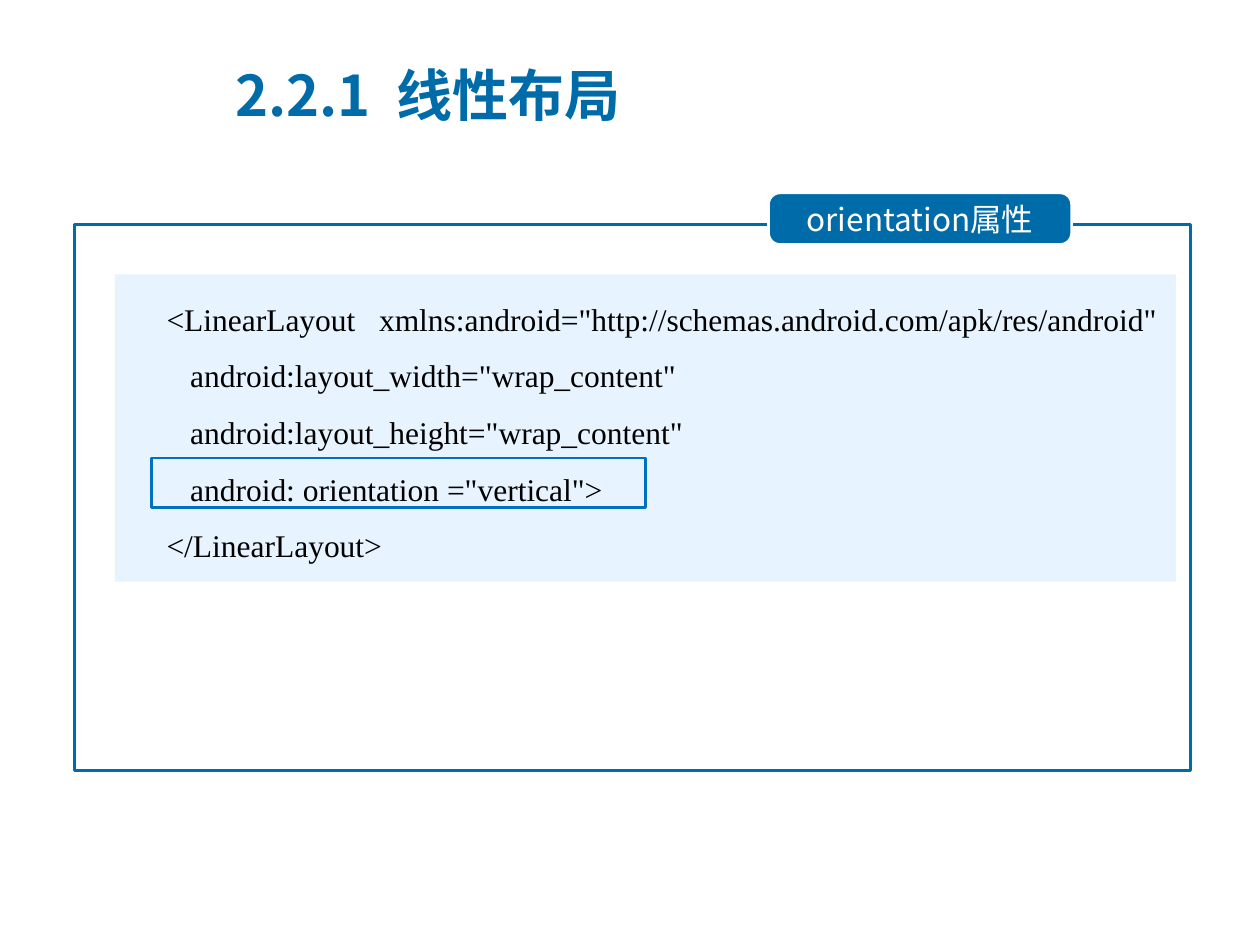
from pptx import Presentation
from pptx.dml.color import RGBColor
from pptx.enum.shapes import MSO_SHAPE
from pptx.enum.text import MSO_ANCHOR, PP_ALIGN
from pptx.oxml.ns import qn
from pptx.util import Pt
from lxml import etree

RECTANGLE = MSO_SHAPE.RECTANGLE
ROUNDED = MSO_SHAPE.ROUNDED_RECTANGLE
TOP, MIDDLE = MSO_ANCHOR.TOP, MSO_ANCHOR.MIDDLE
LEFT, CENTER = PP_ALIGN.LEFT, PP_ALIGN.CENTER

BLUE = "006BA9"
SANS = "Noto Sans CJK SC"
SERIF = "Times New Roman"


def add_box(shapes, kind, left, top, width, height, fill=None, line=None):
    box = shapes.add_shape(kind, Pt(left), Pt(top), Pt(width), Pt(height))
    box.shadow.inherit = False
    if fill:
        box.fill.solid()
        box.fill.fore_color.rgb = RGBColor.from_string(fill)
    else:
        box.fill.background()
    if line:
        box.line.color.rgb = RGBColor.from_string(line)
        box.line.width = Pt(1.5)
    else:
        box.line.fill.background()
    return box


def write(frame, text, *, font, size, color, bold=False, align=LEFT,
          anchor=TOP, spacing=1.0):
    """Fill a text frame, one paragraph per line of text."""
    frame.word_wrap = True
    frame.vertical_anchor = anchor
    frame.text = text
    for paragraph in frame.paragraphs:
        paragraph.alignment = align
        paragraph.line_spacing = spacing
        run = paragraph.runs[0]
        run.font.size = Pt(size)
        run.font.bold = bold
        run.font.color.rgb = RGBColor.from_string(color)
        run.font.name = font
        properties = run.font._element
        etree.SubElement(properties, qn("a:ea"), typeface=font)


presentation = Presentation()
presentation.slide_width = Pt(720)
presentation.slide_height = Pt(540)
slide = presentation.slides.add_slide(presentation.slide_layouts[6])
shapes = slide.shapes

# Frame with its heading tab
add_box(shapes, RECTANGLE, 42.5, 128.2, 638, 312, line=BLUE)
tab = add_box(shapes, ROUNDED, 439.2, 110.2, 173.2, 29.5, fill=BLUE, line="FFFFFF")
tab.adjustments[0] = 0.22
tab.text_frame.margin_left = tab.text_frame.margin_right = Pt(17.3)
tab.text_frame.margin_top = tab.text_frame.margin_bottom = Pt(4.3)
write(tab.text_frame, "orientation属性", font=SANS, size=18, color="FFFFFF",
      align=CENTER, anchor=MIDDLE)

# Code listing with the attribute line marked
code = """     <LinearLayout   xmlns:android="http://schemas.android.com/apk/res/android"
        android:layout_width="wrap_content"
        android:layout_height="wrap_content"
        android: orientation ="vertical">
     </LinearLayout>"""
listing = add_box(shapes, RECTANGLE, 65.6, 156.8, 606.3, 175.6, fill="E7F4FF")
write(listing.text_frame, code, font=SERIF, size=18, color="000000", spacing=1.5)
add_box(shapes, RECTANGLE, 86.5, 261.8, 282.3, 28.3, line="0070C0")

title = shapes.add_textbox(Pt(127.4), Pt(31.7), Pt(389.5), Pt(43.9))
write(title.text_frame, "2.2.1  线性布局", font=SANS, size=32, color=BLUE,
      bold=True, anchor=MIDDLE)

presentation.save("out.pptx")
